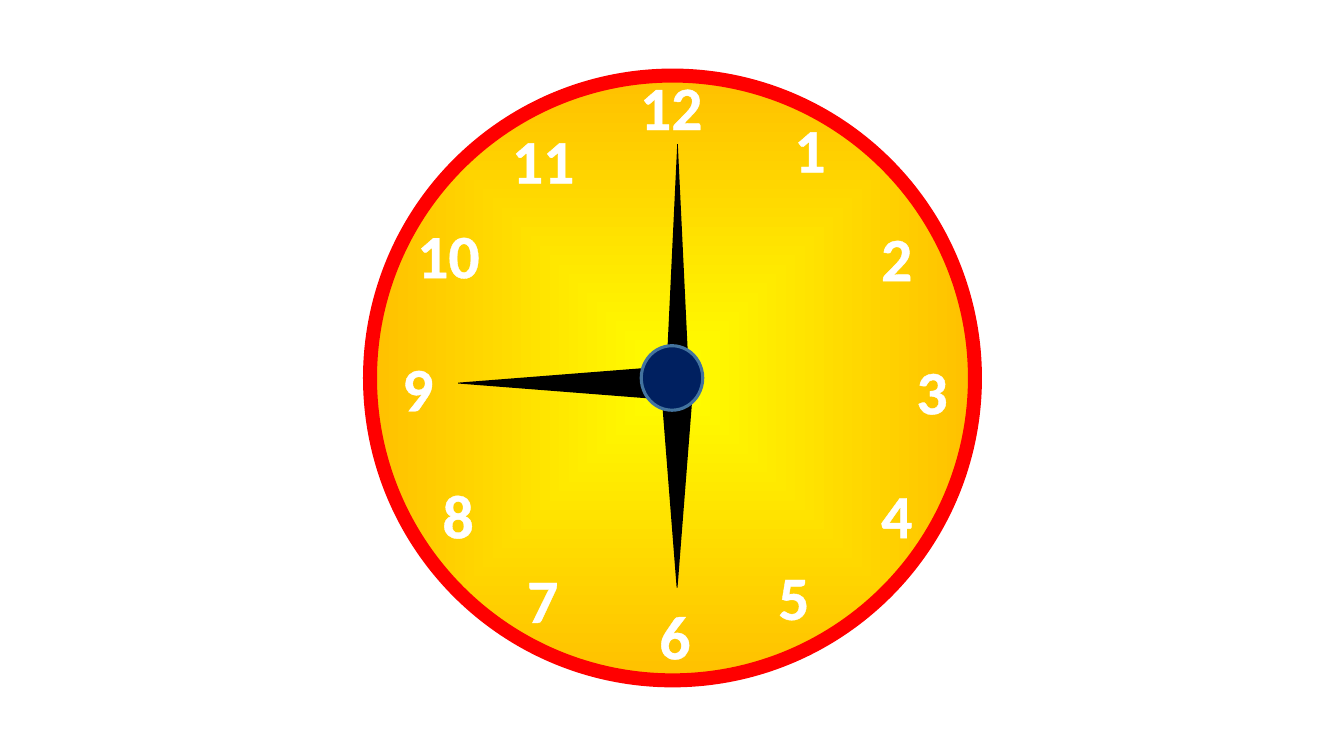
from lxml import etree
from pptx import Presentation
from pptx.dml.color import RGBColor
from pptx.enum.shapes import MSO_SHAPE
from pptx.enum.text import MSO_AUTO_SIZE
from pptx.oxml import parse_xml
from pptx.oxml.ns import nsdecls, qn
from pptx.util import Inches, Pt

COLORS = {
    "centre": "FFFF00",
    "edge": "FFC000",
    "rim": "FF0000",
    "numeral": "FFFFFF",
    "hand": "000000",
    "hub": "002060",
    "hub_line": "43739E",
}

# Left and top of each numeral box, in inches
NUMERALS = {
    1: (7.78, 1.05), 2: (8.64, 2.13), 3: (8.99, 3.45),
    4: (8.64, 4.68), 5: (7.62, 5.49), 6: (6.44, 5.88),
    7: (5.13, 5.52), 8: (4.29, 4.68), 9: (3.89, 3.42),
    10: (4.04, 2.1), 11: (4.98, 1.16), 12: (6.25, 0.63),
}

# Left, top, width, height and rotation of each hand
HANDS = [
    (6.61, 1.43, 0.22, 2.24, 0),
    (5.46, 2.71, 0.35, 2.18, 270),
    (6.54, 3.65, 0.35, 2.18, 180),
]


def color(name):
    return RGBColor.from_string(COLORS[name])


def add_shape(page, kind, left, top, width, height, fill, line=None, weight=0):
    shape = page.shapes.add_shape(
        kind, Inches(left), Inches(top), Inches(width), Inches(height))
    shape.shadow.inherit = False
    shape.fill.solid()
    shape.fill.fore_color.rgb = color(fill)
    if line:
        shape.line.color.rgb = color(line)
        shape.line.width = Pt(weight)
    else:
        shape.line.fill.background()
    return shape


def set_radial_gradient(shape, inner, outer):
    """Fill from the middle outwards, following the outline of the shape."""
    shape.fill.gradient()
    for stop, name, position in zip(shape.fill.gradient_stops, (inner, outer), (0, 1)):
        stop.color.rgb = color(name)
        stop.position = position
    gradient = shape.element.spPr.find(qn("a:gradFill"))
    gradient.replace(gradient.find(qn("a:lin")), parse_xml(
        f'<a:path {nsdecls("a")} path="shape">'
        '<a:fillToRect l="50000" t="50000" r="50000" b="50000"/></a:path>'))


def add_text(page, text, left, top, width, height, size, fill, outline):
    box = page.shapes.add_textbox(
        Inches(left), Inches(top), Inches(width), Inches(height))
    frame = box.text_frame
    frame.word_wrap = False
    frame.auto_size = MSO_AUTO_SIZE.SHAPE_TO_FIT_TEXT
    span = frame.paragraphs[0].add_run()
    span.text = text
    span.font.name = "Calibri"
    span.font.size = Pt(size)
    span.font.bold = True
    span.font.color.rgb = color(fill)
    properties = span.font.fill and span._r.get_or_add_rPr()
    line = etree.Element(qn("a:ln"), w=str(Pt(outline)))
    solid = etree.SubElement(line, qn("a:solidFill"))
    etree.SubElement(solid, qn("a:srgbClr"), val=COLORS[fill])
    properties.insert(0, line)


def add_hand(page, left, top, width, height, rotation):
    hand = add_shape(page, MSO_SHAPE.TRAPEZOID, left, top, width, height, "hand")
    hand.adjustments[0] = 0.488
    hand.rotation = rotation


def main():
    deck = Presentation()
    deck.slide_width = Inches(13.33)
    deck.slide_height = Inches(7.5)
    page = deck.slides.add_slide(deck.slide_layouts[6])

    face = add_shape(page, MSO_SHAPE.OVAL, 3.67, 0.75, 6, 6, "edge", "rim", 10)
    set_radial_gradient(face, "centre", "edge")
    for hour, (left, top) in NUMERALS.items():
        add_text(page, str(hour), left, top, 0.83 if hour > 9 else 0.51, 0.84,
                 size=44, fill="numeral", outline=1.06)
    for hand in HANDS:
        add_hand(page, *hand)
    add_shape(page, MSO_SHAPE.OVAL, 6.36, 3.43, 0.61, 0.64, "hub", "hub_line", 2.25)

    deck.save("out.pptx")


if __name__ == "__main__":
    main()
